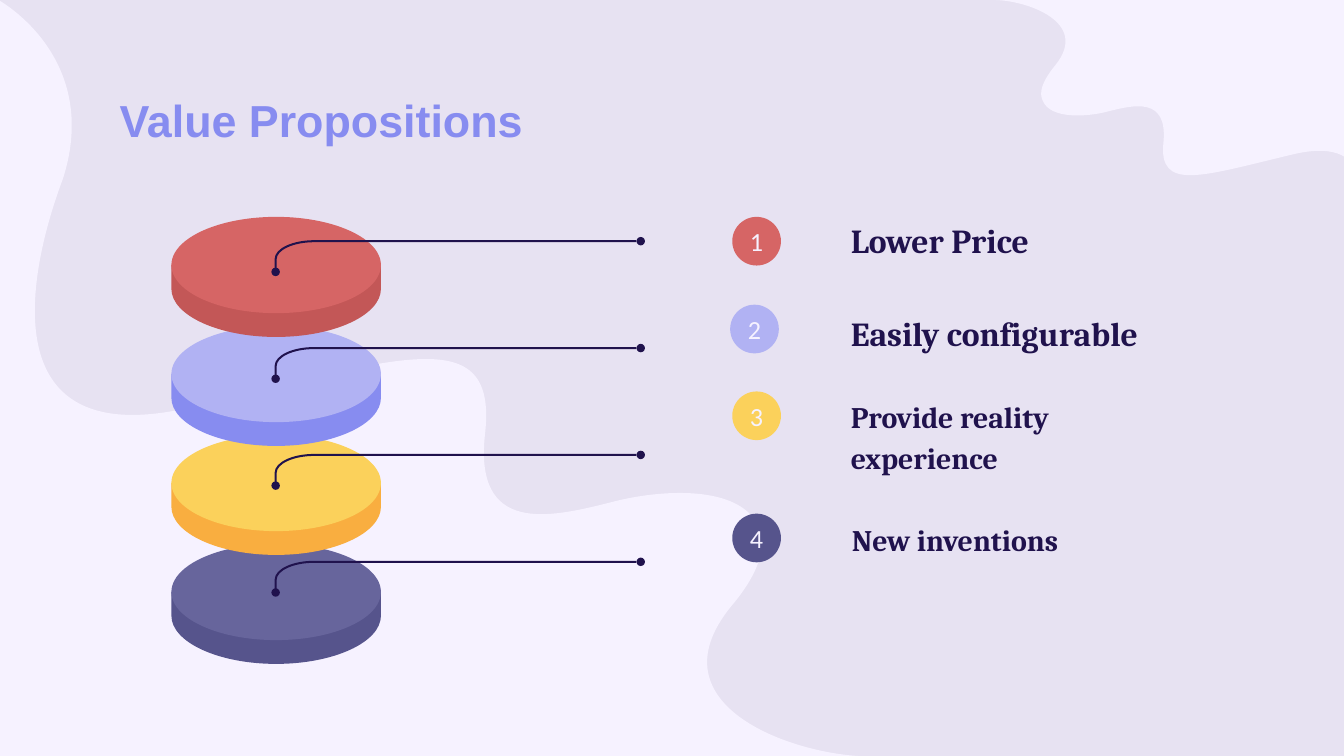
from pptx import Presentation
from pptx.dml.color import RGBColor
from pptx.enum.shapes import MSO_SHAPE as Shape
from pptx.enum.text import MSO_ANCHOR as Anchor, PP_ALIGN as Align
from pptx.oxml.ns import qn
from pptx.oxml.xmlchemy import OxmlElement
from pptx.util import Cm, Pt

LILAC = RGBColor(0xE7, 0xE2, 0xF2)
PALE = RGBColor(0xF6, 0xF2, 0xFF)
NAVY = RGBColor(0x20, 0x12, 0x4D)
RED, DARK_RED = RGBColor(0xD6, 0x65, 0x65), RGBColor(0xC3, 0x57, 0x57)
BLUE, DARK_BLUE = RGBColor(0xB1, 0xB2, 0xF3), RGBColor(0x87, 0x8C, 0xF0)
YELLOW, ORANGE = RGBColor(0xFB, 0xD1, 0x5B), RGBColor(0xF9, 0xAE, 0x40)
PURPLE, DARK_PURPLE = RGBColor(0x67, 0x65, 0x9C), RGBColor(0x56, 0x54, 0x8C)

# Outlines in cm: a pair is a straight step, six numbers are a Bezier curve
CORNER_BLOB = [
    (25.5, 4.8), (25.76, 4.04, 26.14, 2.51, 24.43, 2.92),
    (22.71, 3.33, 21.89, 3.63, 21.99, 2.69), (22.07, 1.83, 21.44, 1.98, 20.93, 2.11),
    (20.55, 2.21, 19.86, 2.26, 19.71, 1.91), (19.63, 1.75, 19.69, 1.55, 19.94, 1.24),
    (20.62, 0.41, 19.38, 0, 18.77, 0), (26.04, 0), (26.04, 6.3),
    (26.04, 6.3, 25.2, 5.84, 25.5, 4.8),
]
LEFT_BLOB = [
    (1.19, 3.38), (0.53, 5.13, -0.2, 8.59, 3.61, 7.7),
    (7.54, 6.76, 9.4, 6.05, 9.17, 8.18), (8.94, 10.13, 10.41, 9.78, 11.53, 9.5),
    (12.45, 9.25, 14, 9.14, 14.35, 9.98), (14.48, 10.31, 14.38, 10.8, 13.82, 11.46),
    (12.27, 13.36, 15.06, 14.3, 16.46, 14.3), (-0.03, 14.3), (-0.03, 0),
    (-0.03, 0, 1.93, 1.07, 1.19, 3.38),
]

DISC_COLORS = [(RED, DARK_RED), (BLUE, DARK_BLUE), (YELLOW, ORANGE), (PURPLE, DARK_PURPLE)]
DISC_CENTER, DISC_TOP, DISC_STEP = 5.22, 4.1, 2.06
DISC_RADIUS, DISC_HEIGHT, DISC_DEPTH = 1.98, 1.82, 0.45
LEADER_TOP, LEADER_STEP = 4.56, 2.02

# Badge left, top and colour
BADGE_SIZE = 0.92
BADGES = [(13.84, 4.1, RED), (13.8, 5.76, BLUE), (13.84, 7.4, YELLOW), (13.84, 9.71, DARK_PURPLE)]
# Label text, left, top, size, line spacing and indent
LABELS = [
    ("Lower Price", 15.83, 3.86, 18, 1.07, 0),
    ("Easily configurable", 15.83, 5.61, 18, 1.07, 0),
    ("Provide reality experience", 15.83, 7.18, 16, 1.15, 0),
    ("New inventions", 15.49, 9.51, 16, 1.15, 0.36),
]


def bend(shape, segments):
    """Merge the three straight steps of each curve into one Bezier step."""
    steps = shape._element.iter(qn("a:lnTo"))
    steps = iter(list(steps))
    for segment in segments:
        group = [next(steps) for _ in range(len(segment) // 2)]
        if len(group) == 1:
            continue
        curve = OxmlElement("a:cubicBezTo")
        group[0].addprevious(curve)
        for step in group:
            curve.append(step[0])
            step.getparent().remove(step)


def add_outline(page, outline, fill=None, line=None):
    """Draw a closed filled area, or an open line when no fill is given."""
    start, *segments = outline
    builder = page.shapes.build_freeform(Cm(start[0]), Cm(start[1]), scale=1.0)
    points = [(Cm(x), Cm(y)) for part in segments for x, y in zip(part[::2], part[1::2])]
    builder.add_line_segments(points, close=fill is not None)
    shape = builder.convert_to_shape()
    bend(shape, segments)
    shape.shadow.inherit = False
    if fill is None:
        shape.fill.background()
        shape.line.color.rgb = line
        shape.line.width = Pt(1.08)
    else:
        shape.fill.solid()
        shape.fill.fore_color.rgb = fill
        shape.line.fill.background()


def add_oval(page, left, top, width, height, fill):
    oval = page.shapes.add_shape(Shape.OVAL, Cm(left), Cm(top), Cm(width), Cm(height))
    oval.shadow.inherit = False
    oval.fill.solid()
    oval.fill.fore_color.rgb = fill
    oval.line.fill.background()
    return oval


def write(shape, text, *, font, size, color, bold=False, align=Align.LEFT,
          anchor=Anchor.TOP, spacing=1.0, inset=0.25, indent=0):
    frame = shape.text_frame
    frame.word_wrap = True
    frame.vertical_anchor = anchor
    frame.margin_left = frame.margin_right = Cm(inset)
    frame.margin_top = frame.margin_bottom = Cm(inset)
    para = frame.paragraphs[0]
    if indent:
        para._p.get_or_add_pPr().set("marL", str(Cm(indent)))
    para.alignment = align
    para.line_spacing = spacing
    span = para.add_run()
    span.text = text
    span.font.name = font
    span.font.size = Pt(size)
    span.font.bold = bold
    span.font.color.rgb = color


def add_text(page, text, left, top, width, height, **style):
    box = page.shapes.add_textbox(Cm(left), Cm(top), Cm(width), Cm(height))
    write(box, text, **style)


def add_disc(page, top, face, side):
    center, radius = DISC_CENTER, DISC_RADIUS
    left, right = center - radius, center + radius
    middle = top + DISC_HEIGHT / 2
    rim, low, bottom = top + DISC_DEPTH, middle + DISC_DEPTH, top + DISC_HEIGHT + DISC_DEPTH
    add_outline(page, [
        (center, rim), (center + 0.72, rim, center + 1.38, rim + 0.17, center + 1.72, middle),
        (right, middle), (right, low),
        (right, low + 0.5, center + 1.09, bottom, center, bottom),
        (center - 1.09, bottom, left, low + 0.5, left, low),
        (left, middle), (center - 1.72, middle),
        (center - 1.38, rim + 0.17, center - 0.72, rim, center, rim),
    ], fill=side)
    add_oval(page, left, top, 2 * radius, DISC_HEIGHT, face)


def add_leader(page, y):
    start, end, drop, dot = 5.21, 12.03, 0.58, 0.16
    add_outline(page, [
        (end, y), (5.94, y), (5.54, y, start, y + 0.15, start, y + 0.34), (start, y + drop),
    ], line=NAVY)
    for x, dot_y in ((start, y + drop), (end + dot / 2, y)):
        add_oval(page, x - dot / 2, dot_y - dot / 2, dot, dot, NAVY)


def main():
    deck = Presentation()
    deck.slide_width, deck.slide_height = Cm(25.4), Cm(14.29)
    page = deck.slides.add_slide(deck.slide_layouts[6])

    # Background
    page.background.fill.solid()
    page.background.fill.fore_color.rgb = LILAC
    for blob in (CORNER_BLOB, LEFT_BLOB):
        add_outline(page, blob, fill=PALE)

    # Title
    add_text(page, "Value Propositions", 2.01, 1.47, 21.41, 1.6, font="Arial", size=24,
             color=DARK_BLUE, bold=True, anchor=Anchor.MIDDLE)

    # Numbered badges
    for number, (left, top, color) in enumerate(BADGES, start=1):
        badge = add_oval(page, left, top, BADGE_SIZE, BADGE_SIZE, color)
        write(badge, str(number), font="Calibri", size=14, color=PALE,
              align=Align.CENTER, anchor=Anchor.MIDDLE, inset=0)

    # Stack of discs, lowest first, then the leader lines
    for row, (face, side) in reversed(list(enumerate(DISC_COLORS))):
        add_disc(page, DISC_TOP + row * DISC_STEP, face, side)
    for row in range(len(DISC_COLORS)):
        add_leader(page, LEADER_TOP + row * LEADER_STEP)

    # Labels
    for text, left, top, size, spacing, indent in LABELS:
        add_text(page, text, left, top, 6.32, 1.96, font="Cambria", size=size,
                 color=NAVY, bold=True, spacing=spacing, indent=indent)

    deck.save("out.pptx")


if __name__ == "__main__":
    main()
